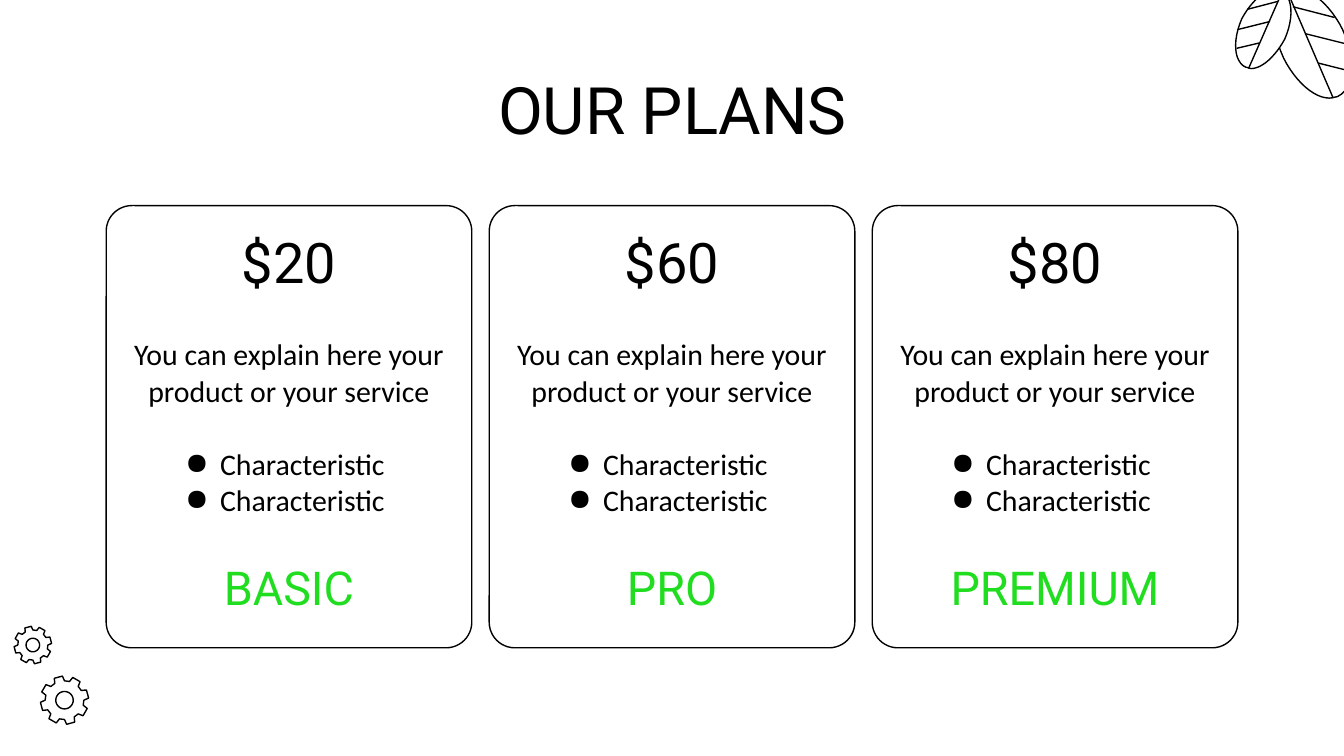
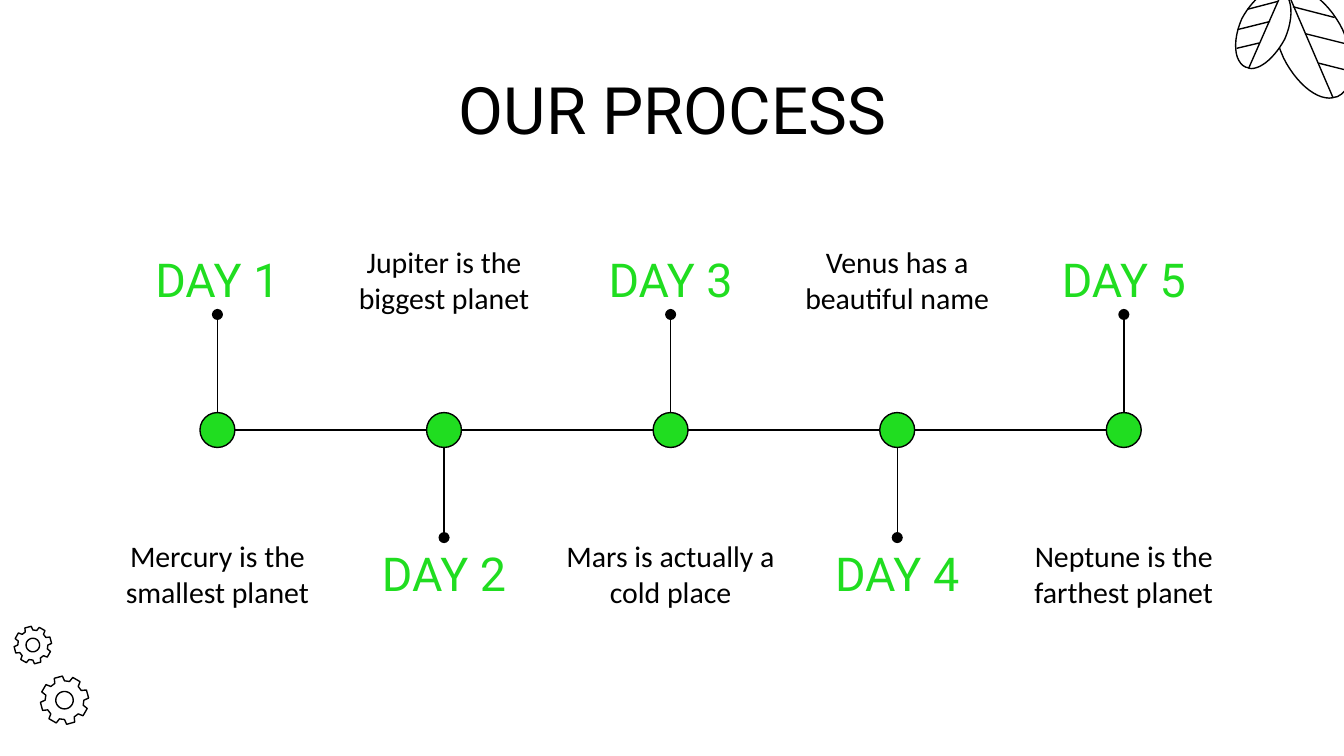
import math
from dataclasses import dataclass

from lxml import etree
from pptx import Presentation
from pptx import util as u
from pptx.dml.color import RGBColor
from pptx.enum import shapes, text
from pptx.oxml.ns import qn

COLUMNS = 100  # the slide is 100 square cells wide


@dataclass(frozen=True)
class Theme:
    ink: RGBColor = RGBColor(0x00, 0x00, 0x00)
    paper: RGBColor = RGBColor(0xFF, 0xFF, 0xFF)
    accent: RGBColor = RGBColor(0x20, 0xDD, 0x20)
    display: str = "Roboto"
    body: str = "Calibri"
    title_size: int = 35
    price_size: int = 30
    label_size: int = 25
    body_size: int = 16
    line: float = 0.75


def bezier(start, controls, steps=12):
    """Points along a chain of cubic curves; controls come in threes."""
    points = [start]
    for i in range(0, len(controls), 3):
        knots = [points[-1], *controls[i:i + 3]]
        for step in range(1, steps + 1):
            t = step / steps
            weights = [(1 - t) ** 3, 3 * t * (1 - t) ** 2, 3 * t * t * (1 - t), t ** 3]
            points.append(tuple(sum(w * k[axis] for w, k in zip(weights, knots))
                                for axis in (0, 1)))
    return points


def ring(center, radius, degrees):
    """Points round a center; radius may differ with each angle."""
    return [(center[0] + r * math.cos(math.radians(a)),
             center[1] + r * math.sin(math.radians(a)))
            for r, a in zip(radius, degrees)]


class Deck:
    def __init__(self, theme):
        self.theme = theme
        self.prs = Presentation()
        self.prs.slide_width = u.Inches(10)
        self.prs.slide_height = self.prs.slide_width * 9 // 16
        self.slide = None

    def cells(self, *counts):
        return [u.Emu(round(n * self.prs.slide_width / COLUMNS)) for n in counts]

    def new_slide(self, title):
        self.slide = self.prs.slides.add_slide(self.prs.slide_layouts[6])
        for leaf in LEAVES:
            self.leaf(**leaf)
        for center, radius in GEARS:
            self.gear(center, radius)
        self.label(title, (7.9, 4.9, 84.3, 6.3), self.theme.title_size)

    def style(self, paragraph, size, color=None, font=None):
        paragraph.alignment = text.PP_ALIGN.CENTER
        paragraph.font.size = u.Pt(size)
        paragraph.font.name = font or self.theme.display
        paragraph.font.color.rgb = color or self.theme.ink

    def outline(self, shape, fill=None):
        shape.shadow.inherit = False
        if fill is None:
            shape.fill.background()
        else:
            shape.fill.solid()
            shape.fill.fore_color.rgb = fill
        shape.line.color.rgb = self.theme.ink
        shape.line.width = u.Pt(self.theme.line)

    def label(self, words, box, size, color=None, font=None):
        frame = self.slide.shapes.add_textbox(*self.cells(*box)).text_frame
        frame.word_wrap = True
        frame.vertical_anchor = text.MSO_ANCHOR.MIDDLE
        frame.margin_left = frame.margin_right = 0
        frame.margin_top = frame.margin_bottom = 0
        frame.text = words
        self.style(frame.paragraphs[0], size, color, font)

    def preset(self, kind, box, fill):
        shape = self.slide.shapes.add_shape(kind, *self.cells(*box))
        self.outline(shape, fill)
        return shape

    def line(self, start, end, dot=False):
        link = self.slide.shapes.add_connector(
            shapes.MSO_CONNECTOR.STRAIGHT, *self.cells(*start, *end))
        link.line.color.rgb = self.theme.ink
        link.line.width = u.Pt(self.theme.line)
        properties = link._element.spPr
        if dot:
            etree.SubElement(properties.find(qn("a:ln")), qn("a:tailEnd"), type="oval")
        etree.SubElement(properties, qn("a:effectLst"))

    def freeform(self, contours, fill=None):
        first, *others = [[self.cells(*p) for p in contour] for contour in contours]
        builder = self.slide.shapes.build_freeform(*first[0])
        builder.add_line_segments(first[1:], close=True)
        for contour in others:
            builder.move_to(*contour[0])
            builder.add_line_segments(contour[1:], close=True)
        self.outline(builder.convert_to_shape(), fill)

    def leaf(self, tip, half, veins):
        # The second half of the outline is the first one turned by 180 degrees
        end = half[-1]
        turned = [(tip[0] + end[0] - x, tip[1] + end[1] - y) for x, y in half]
        self.freeform([bezier(tip, half + turned)], self.theme.paper)
        for start, stop in veins:
            self.line(start, stop)

    def gear(self, center, radius, teeth=8):
        pitch = 360 / teeth
        angles = [tooth * pitch - 60 + offset
                  for tooth in range(teeth) for offset in (-15, -10, 10, 15)]
        rim = ring(center, [0.8 * radius, radius, radius, 0.8 * radius] * teeth, angles)
        hole = ring(center, [0.36 * radius] * 36, range(0, 360, 10))
        self.freeform([hole, rim])

    def bullet(self, paragraph):
        properties = paragraph._p.get_or_add_pPr()
        properties.set("marL", str(u.Inches(0.2)))
        properties.set("indent", str(u.Inches(-0.26)))
        color = etree.SubElement(properties, qn("a:buClr"))
        etree.SubElement(color, qn("a:srgbClr"), val=str(self.theme.ink))
        etree.SubElement(properties, qn("a:buChar"), char="●")

    def clear_cell(self, cell):
        properties = cell._tc.get_or_add_tcPr()
        for side in ("a:lnL", "a:lnR", "a:lnT", "a:lnB"):
            etree.SubElement(etree.SubElement(properties, qn(side)), qn("a:noFill"))
        cell.fill.background()
        cell.vertical_anchor = text.MSO_ANCHOR.MIDDLE
        cell.margin_left = cell.margin_right = u.Inches(0.1)
        cell.margin_top = cell.margin_bottom = u.Inches(0.1)

    def plan_table(self, box, heights, price, pitch, features, name):
        theme = self.theme
        table = self.slide.shapes.add_table(len(heights), 1, *self.cells(*box)).table
        table.first_row = table.horz_banding = False
        for row, height in zip(table.rows, self.cells(*heights)):
            row.height = height
            self.clear_cell(row.cells[0])
        price_cell, details, name_cell = [row.cells[0] for row in table.rows]

        price_cell.text = price
        self.style(price_cell.text_frame.paragraphs[0], theme.price_size)
        name_cell.text = name
        self.style(name_cell.text_frame.paragraphs[0], theme.label_size, theme.accent)

        details.text = "\n".join([pitch, *features])
        intro, *items = details.text_frame.paragraphs
        for item in items:
            self.bullet(item)
        items[0].space_before = u.Pt(1.22 * theme.body_size)
        for paragraph in (intro, *items):
            self.style(paragraph, theme.body_size, font=theme.body)


# Shared decoration, in grid cells
LEAVES = [
    dict(tip=(98.9, 7.3),
         half=[(99.1, 7.3), (99.4, 7.2), (99.5, 7.2),
               (100.8, 6.6), (100.9, 4.4), (99.9, 2.2),
               (99, 0.4), (97.6, -0.8), (96.5, -0.8)],
         veins=[((96.2, 0.5), (99.3, 1.3)), ((97.1, 2.5), (100.3, 3.3)),
                ((98.1, 4.7), (100.5, 5.3)), ((99.2, 7.3), (95.8, -0.6))]),
    dict(tip=(93.1, 5.1),
         half=[(93, 5.1), (92.8, 5), (92.7, 5),
               (91.8, 4.6), (91.7, 3), (92.4, 1.4),
               (93.1, 0.1), (94.1, -0.8), (94.9, -0.8)],
         veins=[((95.1, 0.1), (92.8, 0.7)), ((94.5, 1.6), (92.1, 2.2)),
                ((93.7, 3.2), (92, 3.6)), ((92.9, 5.1), (95.4, -0.6))]),
]
GEARS = [((4.8, 52.1), 1.8), ((2.45, 48), 1.4)]

PLANS = [("$20", "BASIC"), ("$60", "PRO"), ("$80", "PREMIUM")]
PLAN_PITCH = "You can explain here your product or your service"
PLAN_FEATURES = ["Characteristic", "Characteristic"]

DAYS = ["Mercury is the smallest planet", "Jupiter is the biggest planet",
        "Mars is actually a cold place", "Venus has a beautiful name",
        "Neptune is the farthest planet"]


def plans_slide(deck):
    deck.new_slide("OUR PLANS")
    left, top, width, height, gap = 7.9, 15.3, 27.2, 32.9, 1.3
    boxes = [(left + i * (width + gap), top, width, height) for i in range(len(PLANS))]
    for box in boxes:
        card = deck.preset(shapes.MSO_SHAPE.ROUNDED_RECTANGLE, box, deck.theme.paper)
        card.adjustments[0] = 0.07
    for box, (price, name) in zip(boxes, PLANS):
        deck.plan_table(box, (8.8, 15.3, 8.8), price, PLAN_PITCH, PLAN_FEATURES, name)


def process_slide(deck):
    deck.new_slide("OUR PROCESS")
    theme = deck.theme
    left, step, axis, radius = 7.75, 16.86, 32, 1.3
    for i, fact in enumerate(DAYS):
        start = left + i * step
        center = start + step / 2
        above = i % 2 == 0

        # Day name on one side of the axis, fact on the other
        deck.label(f"DAY {i + 1}", (start, 18.1 if above else 40, step, 5.3),
                   theme.label_size, theme.accent)
        deck.label(fact, (start, 39.8 if above else 17.9, step, 5.8),
                   theme.body_size, font=theme.body)

        # Milestone, its stem, and the link to the next one
        deck.preset(shapes.MSO_SHAPE.OVAL,
                    (center - radius, axis - radius, 2 * radius, 2 * radius), theme.accent)
        stem = (axis - radius, 23.4) if above else (axis + radius, 40)
        deck.line((center, stem[0]), (center, stem[1]), dot=True)
        if i < len(DAYS) - 1:
            deck.line((center + radius, axis), (center + step - radius, axis))


def main():
    deck = Deck(Theme())
    plans_slide(deck)
    process_slide(deck)
    deck.prs.save("out.pptx")


if __name__ == "__main__":
    main()
